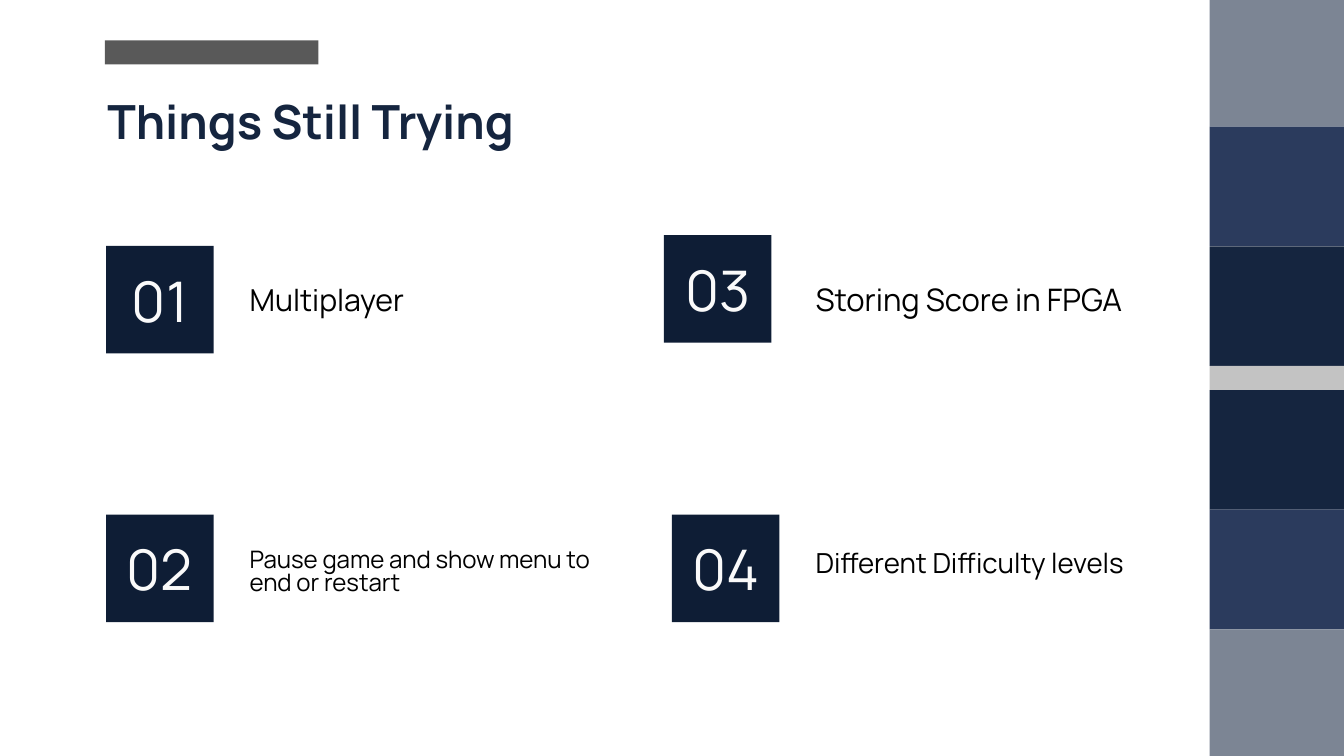
from typing import NamedTuple

from pptx import Presentation
from pptx.dml.color import RGBColor
from pptx.enum.shapes import MSO_SHAPE as Kind
from pptx.enum.text import MSO_ANCHOR as Anchor, PP_ALIGN as Align
from pptx.util import Inches, Pt

FONT = "Manrope"
NAVY = "15253F"
WIDTH = 10
HEIGHT = WIDTH * 9 / 16
TILE = 0.8
STEP, THIN = 0.89, 0.18
EDGE = (HEIGHT - THIN - 4 * STEP) / 2


class Item(NamedTuple):
    num: str
    label: str
    left: float
    top: float
    text_x: float
    text_y: float
    size: float
    lead: float = 1.0


class Band(NamedTuple):
    height: float
    color: str


ITEMS = [
    Item("01", "Multiplayer", 0.79, 1.83, 1.76, 1.99, 16.2),
    Item("02", "Pause game and show menu to end or restart",
         0.79, 3.83, 1.76, 3.99, 12.9, 0.8),
    Item("03", "Storing Score in FPGA", 4.94, 1.75, 5.97, 1.99, 16.6),
    Item("04", "Different Difficulty levels",
         5, 3.83, 5.97, 3.99, 14.8, 0.9),
]

# The side bands mirror around a thin grey one
HALF = [Band(EDGE, "7C8594"), Band(STEP, "2B3B5D"), Band(STEP, NAVY)]
BANDS = HALF + [Band(THIN, "C3C3C3")] + HALF[::-1]


def rgb(code: str) -> RGBColor:
    return RGBColor.from_string(code)


def add_rect(slide, x: float, y: float, w: float, h: float, color: str):
    rect = slide.shapes.add_shape(
        Kind.RECTANGLE, Inches(x), Inches(y), Inches(w), Inches(h))
    rect.shadow.inherit = False
    rect.fill.solid()
    rect.fill.fore_color.rgb = rgb(color)
    rect.line.fill.background()
    return rect


def add_box(slide, x: float, y: float, w: float, h: float):
    return slide.shapes.add_textbox(
        Inches(x), Inches(y), Inches(w), Inches(h))


def write(shape, text: str, *, size: float, color: str = "000000",
          bold: bool = False, align=Align.LEFT, anchor=Anchor.TOP,
          lead: float = 1.0) -> None:
    frame = shape.text_frame
    frame.word_wrap = True
    frame.vertical_anchor = anchor
    frame.margin_left = frame.margin_right = Inches(0.1)
    frame.margin_top = frame.margin_bottom = Inches(0.1)
    para = frame.paragraphs[0]
    para.alignment = align
    para.line_spacing = lead
    run = para.add_run()
    run.text = text
    run.font.name = FONT
    run.font.size = Pt(size)
    run.font.bold = bold
    run.font.color.rgb = rgb(color)


def add_item(slide, item: Item) -> None:
    tile = add_rect(slide, item.left, item.top, TILE, TILE, "0E1D35")
    write(tile, item.num, size=30, color="FAFAFA",
          align=Align.CENTER, anchor=Anchor.MIDDLE)
    label = add_box(slide, item.text_x, item.text_y, 2.77, 0.48)
    write(label, item.label, size=item.size, lead=item.lead)


def add_bands(slide, bands: list[Band]) -> None:
    top = 0.0
    for band in bands:
        add_rect(slide, 9, top, 1, band.height, band.color)
        top += band.height


def main() -> None:
    deck = Presentation()
    deck.slide_width = Inches(WIDTH)
    deck.slide_height = Inches(HEIGHT)
    slide = deck.slides.add_slide(deck.slide_layouts[6])

    # Heading with its accent bar
    add_rect(slide, 0.78, 0.3, 1.59, 0.18, "595959")
    title = add_box(slide, 0.7, 0.59, 8.51, 0.63)
    write(title, "Things Still Trying", size=25.2, color=NAVY, bold=True)

    # Numbered list
    for item in ITEMS:
        add_item(slide, item)

    # Right edge
    add_bands(slide, BANDS)

    deck.save("out.pptx")


if __name__ == "__main__":
    main()
